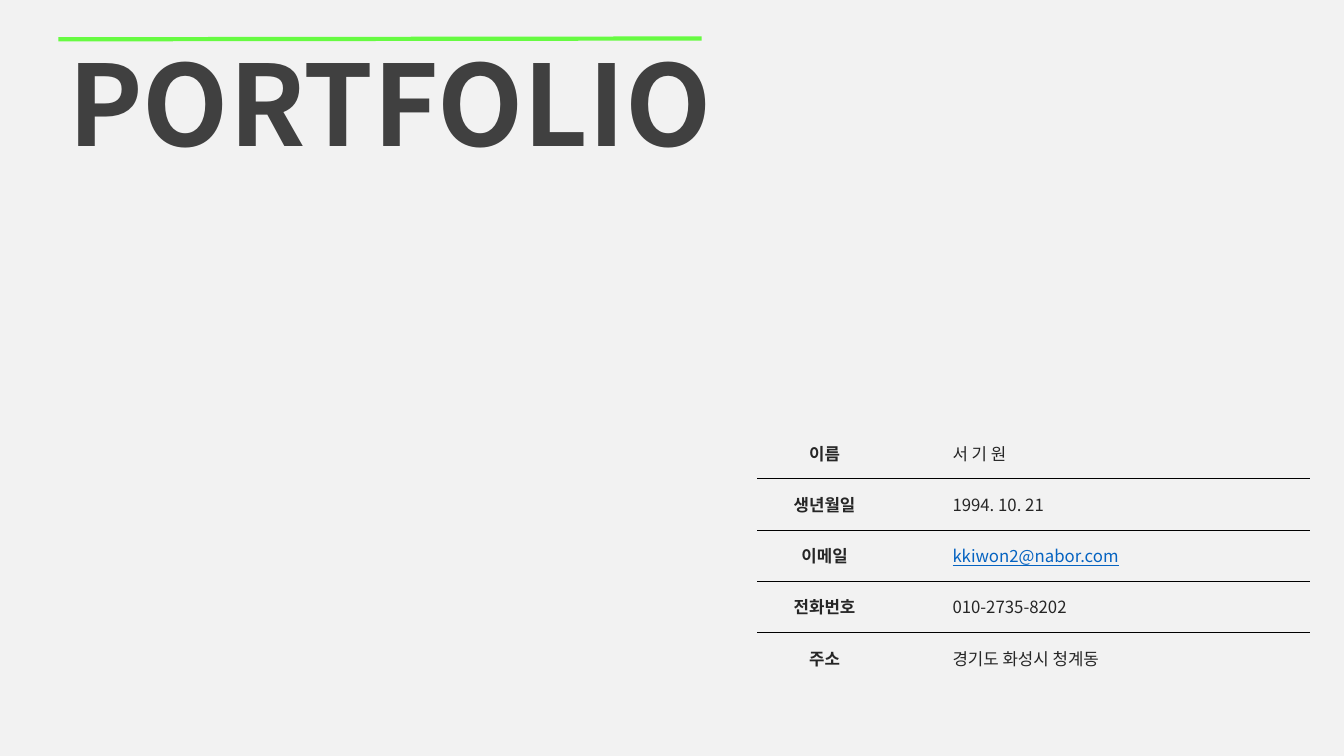
from lxml.etree import SubElement
from pptx import Presentation
from pptx.dml.color import RGBColor as RGB
from pptx.enum.text import MSO_ANCHOR as Anchor, MSO_AUTO_SIZE as Auto, PP_ALIGN as Align
from pptx.oxml import parse_xml
from pptx.oxml.ns import nsdecls, qn
from pptx.util import Cm, Pt

FONT = "Noto Sans CJK KR"
TITLE = "PORTFOLIO"
FACTS = [
    ("이름", "서 기 원"),
    ("생년월일", "1994. 10. 21"),
    ("이메일", "kkiwon2@nabor.com"),
    ("전화번호", "010-2735-8202"),
    ("주소", "경기도 화성시 청계동"),
]
COLS = (3.4, 10.54)
ROW = 1.29
LEFT, TOP = 19.08, 10.77
PAPER, GREEN, DARK, INK, LINK, RULE = "F2F2F2", "67FB42", "404040", "262626", "0563C1", "000000"


def paint(color, code):
    color.rgb = RGB.from_string(code)


def write(para, text, size, code, bold=False, under=False):
    run = para.add_run()
    run.text = text
    font = run.font
    font.name, font.size, font.bold, font.underline = FONT, Pt(size), bold, under
    paint(font.color, code)
    SubElement(font._element, qn("a:ea")).set("typeface", FONT)


def edge(cell, above, below):
    cell.fill.background()
    sides = (("lnL", False), ("lnR", False), ("lnT", above), ("lnB", below))
    for spot, (tag, shown) in enumerate(sides):
        fill = f'<a:solidFill><a:srgbClr val="{RULE}"/></a:solidFill>' if shown else "<a:noFill/>"
        line = parse_xml(f'<a:{tag} {nsdecls("a")} w="{Pt(0.25)}">{fill}</a:{tag}>')
        cell._tc.get_or_add_tcPr().insert(spot, line)


def add_title(slide):
    frame = slide.shapes.add_textbox(Cm(1.47), Cm(0.74), Cm(22.15), Cm(3.68)).text_frame
    frame.word_wrap = True
    frame.auto_size = Auto.SHAPE_TO_FIT_TEXT
    write(frame.paragraphs[0], TITLE, 80, DARK, bold=True)
    bar = slide.shapes.add_connector(1, Cm(1.47), Cm(0.99), Cm(17.68), Cm(0.97))
    paint(bar.line.color, GREEN)
    bar.line.width = Pt(3)
    SubElement(bar._element.spPr, qn("a:effectLst"))


def add_facts(slide):
    count = len(FACTS)
    table = slide.shapes.add_table(count, len(COLS), Cm(LEFT), Cm(TOP),
                                   Cm(sum(COLS)), Cm(ROW * count)).table
    table.first_row = table.horz_banding = False
    for col, width in zip(table.columns, COLS):
        col.width = Cm(width)
    for i, (label, value) in enumerate(FACTS):
        table.rows[i].height = Cm(ROW)
        for cell in table.rows[i].cells:
            cell.vertical_anchor = Anchor.MIDDLE
            edge(cell, i > 0, i < count - 1)
        head, body = (cell.text_frame.paragraphs[0] for cell in table.rows[i].cells)
        head.alignment = Align.CENTER
        write(head, label, 12, INK, bold=True)
        body.level = 1
        body._p.get_or_add_pPr().set("marL", str(Cm(1.27)))
        mail = "@" in value
        write(body, value, 12, LINK if mail else INK, under=mail)


def main():
    """Build the portfolio cover slide."""
    deck = Presentation()
    deck.slide_width, deck.slide_height = Cm(33.87), Cm(19.05)
    slide = deck.slides.add_slide(deck.slide_layouts[6])
    slide.background.fill.solid()
    paint(slide.background.fill.fore_color, PAPER)
    add_title(slide)
    add_facts(slide)
    deck.save("out.pptx")


if __name__ == "__main__":
    main()
